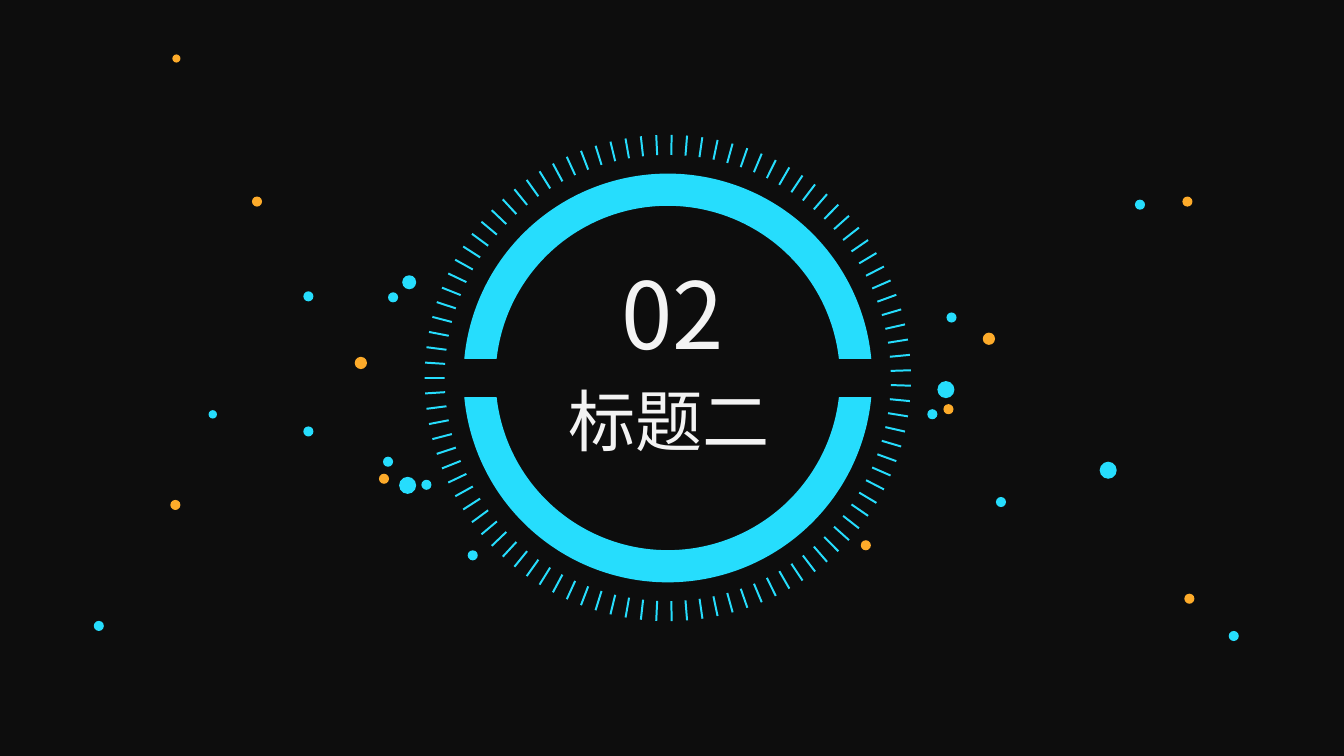
from math import asin, cos, degrees, pi, radians, sin

from lxml.etree import Element, SubElement
from pptx import Presentation
from pptx.dml.color import RGBColor
from pptx.enum.shapes import MSO_SHAPE
from pptx.enum.text import MSO_ANCHOR, MSO_AUTO_SIZE, PP_ALIGN
from pptx.oxml.ns import qn
from pptx.util import Pt

COLORS = {
    "background": "0D0D0D",
    "cyan": "26DDFD",
    "orange": "FDAB2A",
    "text": "F3F3F3",
}
FONT = "Noto Sans CJK SC"
TICK_COUNT = 99

DOTS = {
    ("cyan", 6): [(149, 293)],
    ("cyan", 7.2): [
        (216.7, 208.1), (277.2, 208.8), (216.7, 304.6), (273.6, 326.2),
        (301, 342.7), (334.1, 393.1), (662.4, 292.3), (676.1, 223.2),
        (67, 443.5), (810.7, 142.6), (711.4, 355), (877.7, 450.7),
    ],
    ("cyan", 10): [(287.3, 196.6)],
    ("cyan", 12.2): [(285.1, 340.6), (669.6, 272.2), (785.5, 329.8)],
    ("orange", 5.8): [(123.1, 38.9)],
    ("orange", 7.2): [
        (180, 140.4), (121.7, 357.1), (270.7, 338.4), (673.9, 288.7),
        (844.6, 140.4), (846, 424.1), (614.9, 385.9),
    ],
    ("orange", 8.8): [(253.4, 254.9), (702, 237.6)],
}


def paint(shape, color):
    """Give a shape a plain fill without line or shadow."""
    shape.fill.solid()
    shape.fill.fore_color.rgb = RGBColor.from_string(COLORS[color])
    shape.line.fill.background()
    shape.shadow.inherit = False


def add_dots(slide, left, top):
    """Scatter the dots relative to the given corner."""
    for (color, size), places in DOTS.items():
        for x, y in places:
            dot = slide.shapes.add_shape(
                MSO_SHAPE.OVAL, Pt(left + x), Pt(top + y), Pt(size), Pt(size))
            paint(dot, color)


def make_arc(radius, start, end):
    """Return an arc segment between two angles in radians."""
    arc = Element(qn("a:arcTo"))
    arc.set("wR", str(Pt(radius)))
    arc.set("hR", str(Pt(radius)))
    arc.set("stAng", str(round(degrees(start) % 360 * 60000)))
    arc.set("swAng", str(round(degrees(end - start) * 60000)))
    return arc


def add_ring(slide, left, top, size, thickness, gap):
    """Draw a ring cut in two halves by a horizontal gap."""
    outer = size / 2
    inner = outer - thickness
    outer_cut, inner_cut = asin(gap / 2 / outer), asin(gap / 2 / inner)
    corners = [
        (outer, outer_cut), (outer, pi / 2), (outer, pi - outer_cut),
        (inner, pi - inner_cut), (inner, pi / 2), (inner, inner_cut),
    ]
    halves = [[(radius, side * angle) for radius, angle in corners]
              for side in (-1, 1)]

    def locate(corner):
        radius, angle = corner
        return (Pt(left + outer + radius * cos(angle)),
                Pt(top + outer + radius * sin(angle)))

    builder = slide.shapes.build_freeform(*locate(halves[0][0]))
    builder.add_line_segments([locate(corner) for corner in halves[0][1:]])
    builder.move_to(*locate(halves[1][0]))
    builder.add_line_segments([locate(corner) for corner in halves[1][1:]])
    ring = builder.convert_to_shape()
    paint(ring, "cyan")

    edges = [edge for half in halves for edge in zip(half, half[1:])]
    segments = list(ring._element.iter(qn("a:lnTo")))
    for segment, ((radius, start), (next_radius, end)) in zip(segments, edges):
        if radius == next_radius:
            segment.getparent().replace(segment, make_arc(radius, start, end))


def add_ticks(slide, left, top, size, width, length):
    """Place evenly turned ticks along the inside edge of a circle."""
    radius = (size - length) / 2
    for index in range(TICK_COUNT):
        turn = (270 + index * 360 / TICK_COUNT) % 360
        center_x = left + size / 2 + radius * sin(radians(turn))
        center_y = top + size / 2 - radius * cos(radians(turn))
        tick = slide.shapes.add_shape(
            MSO_SHAPE.RECTANGLE, Pt(center_x - width / 2),
            Pt(center_y - length / 2), Pt(width), Pt(length))
        tick.rotation = turn
        paint(tick, "cyan")


def write_centered(shape, text, size, left, top, width, height):
    """Place a text shape and fill it with one centred line."""
    shape.left, shape.top = Pt(left), Pt(top)
    shape.width, shape.height = Pt(width), Pt(height)
    frame = shape.text_frame
    frame.text = text
    frame.word_wrap = True
    frame.auto_size = MSO_AUTO_SIZE.SHAPE_TO_FIT_TEXT
    frame.vertical_anchor = MSO_ANCHOR.TOP
    paragraph = frame.paragraphs[0]
    paragraph.alignment = PP_ALIGN.CENTER
    font = paragraph.runs[0].font
    font.size = Pt(size)
    font.name = FONT
    font.color.rgb = RGBColor.from_string(COLORS["text"])
    properties = paragraph.runs[0]._r.get_or_add_rPr()
    SubElement(properties, qn("a:ea")).set("typeface", FONT)


def add_heading(slide, left, top, width):
    """Write the section number above the section title."""
    number = slide.shapes.add_textbox(0, 0, 0, 0)
    write_centered(number, "02", 66, left + 74.2, top, 168.5, 87.1)
    write_centered(slide.shapes.title, "标题二", 48, left, top + 87.1, width, 65.5)


def build_section_slide(presentation):
    """Compose the section slide."""
    slide = presentation.slides.add_slide(presentation.slide_layouts[5])
    slide.background.fill.solid()
    slide.background.fill.fore_color.rgb = RGBColor.from_string(COLORS["background"])
    add_dots(slide, 0, 0)
    add_ring(slide, 331, 124, 292, 23, 27.4)
    add_ticks(slide, 303.3, 96.3, 347.4, 1.44, 14.4)
    add_heading(slide, 321.8, 180, 312.5)


def main():
    """Create and save the presentation."""
    presentation = Presentation()
    presentation.slide_width, presentation.slide_height = Pt(960), Pt(540)
    build_section_slide(presentation)
    presentation.save("out.pptx")


if __name__ == "__main__":
    main()
